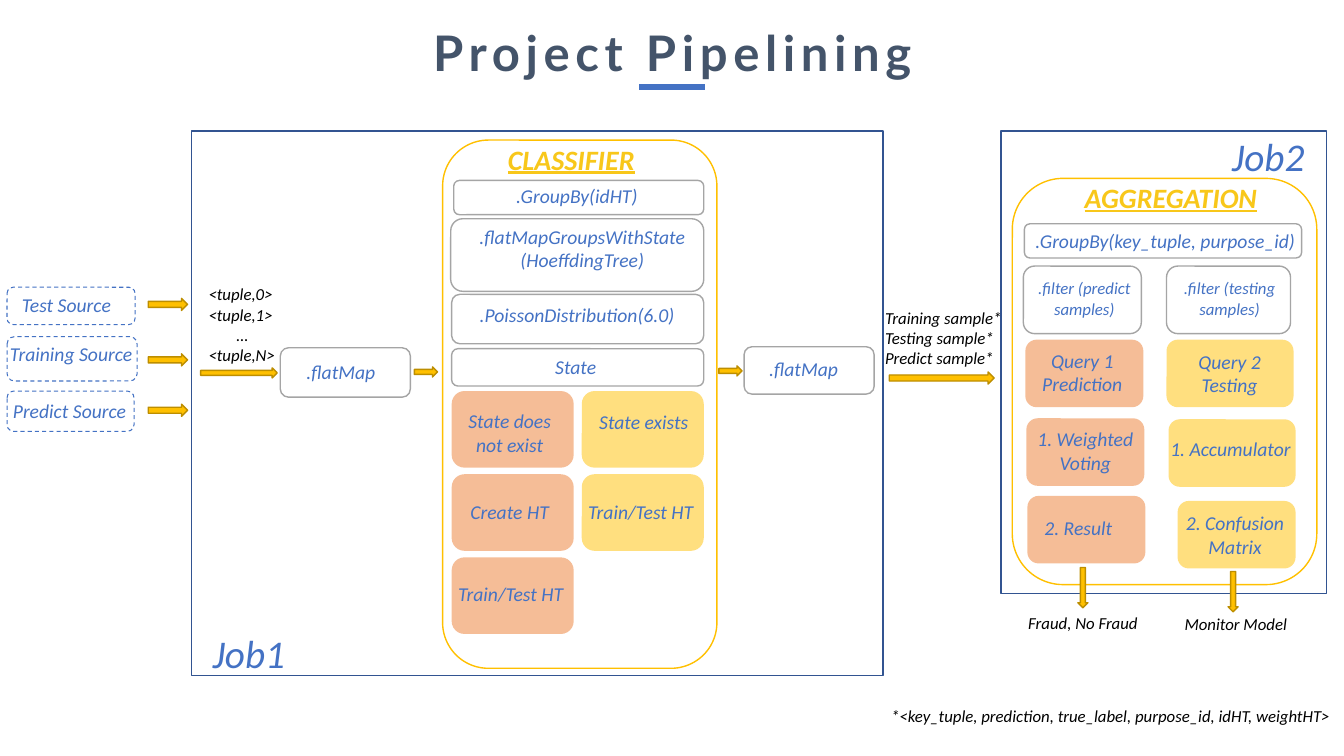
import dataclasses
import lxml.etree
import pptx
import pptx.dml.color
import pptx.enum.dml
import pptx.enum.shapes
import pptx.enum.text
import pptx.oxml.ns
import pptx.util

COLS, ROWS = 133.3, 75
KIND = pptx.enum.shapes.MSO_SHAPE
ALIGN = pptx.enum.text.PP_ALIGN
qn = pptx.oxml.ns.qn


@dataclasses.dataclass(frozen=True)
class Theme:
    head: str = "Lato"
    body: str = "Calibri"
    title: str = "44546A"
    blue: str = "4472C4"
    frame: str = "325491"
    gold: str = "FFC000"
    bright: str = "F8C71A"
    edge: str = "BD8E00"
    gray: str = "A5A5A5"
    rust: str = "ED7D31"
    white: str = "FFFFFF"
    ink: str = "000000"
    huge: int = 35
    job: int = 28
    group: int = 20
    label: int = 14
    small: int = 12


T = Theme()


def rgb(code):
    return pptx.dml.color.RGBColor.from_string(code)


def cell(num):
    return pptx.util.Inches(num * 7.5 / ROWS)


def shape(slide, kind, box, fill=None, line=None, width=1, alpha=None):
    item = slide.shapes.add_shape(kind, *map(cell, box))
    item.shadow.inherit = False
    if fill:
        item.fill.solid()
        item.fill.fore_color.rgb = rgb(fill)
    else:
        item.fill.background()
    if alpha:
        color = item.fill._xPr.find(qn("a:solidFill"))[0]
        lxml.etree.SubElement(color, qn("a:alpha")).set("val", str(alpha * 1000))
    if line:
        item.line.color.rgb = rgb(line)
        item.line.width = pptx.util.Pt(width)
    else:
        item.line.fill.background()
    return item


def card(slide, *box, fill=T.white):
    shape(slide, KIND.ROUNDED_RECTANGLE, box, fill, T.gray)


def tile(slide, *box, fill):
    shape(slide, KIND.ROUNDED_RECTANGLE, box, fill, alpha=50)


def arrow(slide, *box, turn=0):
    item = shape(slide, KIND.RIGHT_ARROW, box, T.gold, T.edge)
    item.rotation = turn


def text(slide, box, lines, size=T.label, color=T.blue, mid=False,
         font=T.body, bold=False, slant=True, under=False, wrap=True, gap=0):
    frame = slide.shapes.add_textbox(*map(cell, box)).text_frame
    frame.word_wrap = wrap
    for i, line in enumerate(lines.split("\n")):
        para = frame.paragraphs[0] if i == 0 else frame.add_paragraph()
        if mid or line == "…":
            para.alignment = ALIGN.CENTER
        run = para.add_run()
        run.text = line
        run.font.name = font
        run.font.size = pptx.util.Pt(size)
        run.font.color.rgb = rgb(color)
        run.font.bold = bold
        run.font.italic = slant
        run.font.underline = under
        if gap:
            run._r.get_or_add_rPr().set("spc", str(gap * 100))


def note(slide, box, lines):
    text(slide, box, lines, T.small, T.ink)


def group(slide, box, name, spot, fill=None):
    shape(slide, KIND.ROUNDED_RECTANGLE, box, fill, T.gold)
    text(slide, spot, name, T.group, T.bright, bold=True, under=True)


def job(slide, box, name, spot):
    shape(slide, KIND.RECTANGLE, box, line=T.frame)
    text(slide, spot, name, T.job)


def title(slide):
    text(slide, (40.2, 1.7, 53, 6.9), "Project Pipelining", T.huge, T.title,
         mid=True, font=T.head, bold=True, slant=False, wrap=False, gap=4)
    rule = slide.shapes.add_connector(
        pptx.enum.shapes.MSO_CONNECTOR.STRAIGHT, *map(cell, (63.4, 8.6, 69.9, 8.6)))
    rule.line.color.rgb = rgb(T.blue)
    rule.line.width = pptx.util.Pt(4.5)
    lxml.etree.SubElement(rule._element.spPr, qn("a:effectLst"))


def source(slide):
    for top, wide, high, name, spot, tip in (
            (28.5, 12.7, 3.7, "Test Source", (1.2, 28.6, 13.6, 3.4), 29.6),
            (33.4, 12.9, 4.4, "Training Source", (0, 33.4, 14.2, 3.4), 35.1),
            (38.8, 12.6, 4, "Predict Source", (0.3, 39.1, 20, 3.4), 40.1)):
        item = shape(slide, KIND.ROUNDED_RECTANGLE, (0.7, top, wide, high),
                     line=T.blue, width=0.75)
        item.line.dash_style = pptx.enum.dml.MSO_LINE.DASH
        text(slide, spot, name)
        arrow(slide, 14.7, tip, 3.9, 1.2)


def train(slide):
    job(slide, (19, 13, 68.6, 54), "Job1", (20.1, 61.9, 12.6, 5.7))
    note(slide, (19.7, 27.7, 8.7, 9.1), "<tuple,0>\n<tuple,1>\n…\n<tuple,N>")
    group(slide, (43.9, 13.9, 27.2, 52.4), "CLASSIFIER",
          (49.4, 13.6, 16.6, 4.4), T.white)
    for box, spot in (((27.8, 34.5, 12.9, 4.9), (29.4, 35.2, 8.9, 3.4)),
                      ((73.8, 34.4, 12.9, 4.7), (75.3, 34.9, 9.7, 3.4))):
        card(slide, *box)
        text(slide, spot, ".flatMap")
    for left, top, wide in ((19.9, 36.5, 7.6), (41.1, 36.4, 2.3), (71.3, 36.3, 2.3)):
        arrow(slide, left, top, wide, 1)
    for left, top, high, name, spot, mid in (
            (45, 17.9, 3.4, ".GroupBy(idHT)", (50.2, 17.8, 14.2, 3.4), False),
            (44.7, 21.7, 7.2, ".flatMapGroupsWithState (HoeffdingTree)",
             (45.2, 21.8, 25.1, 5.7), True),
            (44.8, 29.2, 4.9, ".PoissonDistribution(6.0)", (46.6, 29.6, 23, 3.4), False),
            (44.8, 34.6, 3.7, "State", (45.6, 34.7, 23, 3.4), True)):
        card(slide, left, top, 69.8 - left, high)
        text(slide, spot, name, mid=mid)
    for col, row, name, spot in (
            (0, 0, "State does not exist", (45, 40.1, 11.1, 5.7)),
            (1, 0, "State exists", (58.3, 40.2, 11.1, 3.4)),
            (0, 1, "Create HT", (45, 49.1, 11.1, 3.4)),
            (1, 1, "Train/Test HT", (57.3, 49.1, 12.5, 3.4)),
            (0, 2, "Train/Test HT", (44.4, 57.2, 12.5, 3.4))):
        tile(slide, 44.8 + 12.9 * col, 38.8 + 8.25 * row, 12.1, 7.6,
             fill=(T.rust, T.gold)[col])
        text(slide, spot, name, mid=True)


def vote(slide):
    job(slide, (99.3, 13, 32.3, 45.9), "Job2", (121.2, 12.6, 12.6, 5.7))
    group(slide, (100.4, 17.7, 30.2, 40.3), "AGGREGATION", (106.6, 17.4, 19.7, 4.4))
    card(slide, 101.6, 22.2, 27.5, 3.4)
    text(slide, (101.7, 22.2, 28.4, 3.4), ".GroupBy(key_tuple, purpose_id)")
    for left, wide, name, start in (
            (101.5, 11.7, ".filter (predict samples)", 101.1),
            (115.7, 12.3, ".filter (testing samples)", 115.5)):
        card(slide, left, 26.4, wide, 6.7, fill=None)
        text(slide, (start, 27.1, 12.9, 5), name, T.small, mid=True)
    for left, top, wide, fill, name, spot, mid in (
            (101.7, 33.7, 11.7, T.rust, "Query 1\nPrediction",
             (102.1, 34.1, 10.5, 5.7), True),
            (101.8, 41.5, 11.7, T.rust, "1. Weighted Voting",
             (101.8, 41.9, 11.7, 5.7), True),
            (101.9, 49.2, 11.7, T.rust, "2. Result", (102.6, 50.7, 12.2, 3.4), False),
            (115.7, 33.7, 12.6, T.gold, "Query 2\nTesting",
             (116.7, 34.2, 10.5, 5.7), True),
            (115.9, 41.6, 12.6, T.gold, "1. Accumulator",
             (114.7, 42.9, 14.7, 3.4), True),
            (116.8, 49.7, 11.7, T.gold, "2. Confusion Matrix",
             (116.5, 50.2, 12, 5.7), True)):
        tile(slide, left, top, wide, 6.7, fill=fill)
        text(slide, spot, name, mid=mid)
    for left, top, name, spot in (
            (105.4, 57.8, "Fraud, No Fraud", (101, 60.3, 14.6, 3)),
            (120.3, 58.2, "Monitor Model", (116.5, 60.4, 14.6, 3))):
        arrow(slide, left, top, 4, 1, turn=90)
        note(slide, spot, name)


def main():
    deck = pptx.Presentation()
    deck.slide_width, deck.slide_height = cell(COLS), cell(ROWS)
    slide = deck.slides.add_slide(deck.slide_layouts[6])
    title(slide)
    source(slide)
    train(slide)
    arrow(slide, 88.2, 36.9, 10.4, 1.2)
    note(slide, (86.8, 30, 13.7, 7.1),
         "Training sample*\nTesting sample*\nPredict sample*")
    vote(slide)
    note(slide, (87.4, 69.5, 61, 3),
         "*<key_tuple, prediction, true_label, purpose_id, idHT, weightHT>")
    deck.save("out.pptx")


if __name__ == "__main__":
    main()
